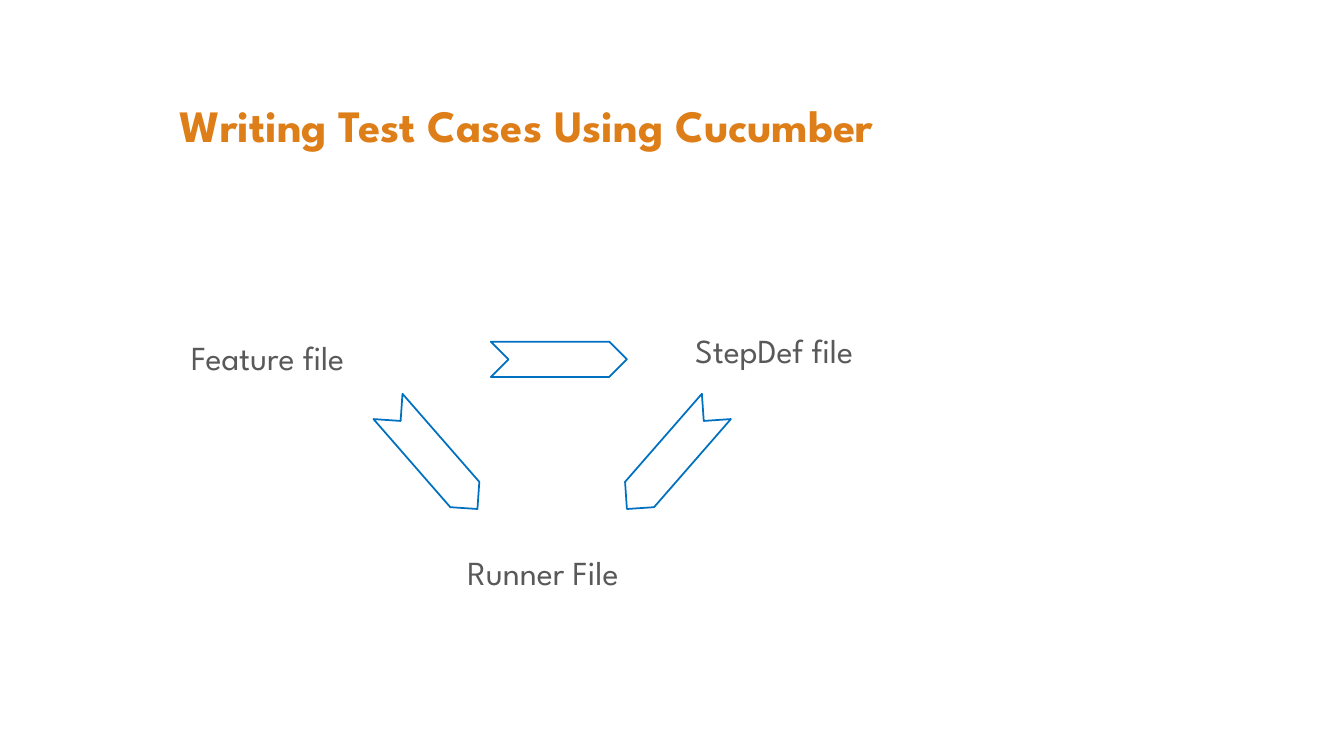
from pptx import Presentation
from pptx import util as u
from pptx.dml import color
from pptx.enum import shapes, text

FONT = "League Spartan"
ORANGE, GREY, BLUE, WHITE = "DE7E18", "595959", "0070C0", "FFFFFF"


def paint(target, code):
    target.rgb = color.RGBColor.from_string(code)


def box(area):
    return [u.Cm(side) for side in area]


def label(slide, words, area, size=24, tint=GREY, bold=False,
          anchor=text.MSO_ANCHOR.TOP, fit=text.MSO_AUTO_SIZE.SHAPE_TO_FIT_TEXT):
    frame = slide.shapes.add_textbox(*box(area)).text_frame
    frame.word_wrap = True
    frame.auto_size = fit
    frame.vertical_anchor = anchor
    run = frame.paragraphs[0].add_run()
    run.text = words
    run.font.name = FONT
    run.font.size = u.Pt(size)
    run.font.bold = bold
    paint(run.font.color, tint)


def arrow(slide, area, turn=0):
    shape = slide.shapes.add_shape(shapes.MSO_SHAPE.CHEVRON, *box(area))
    shape.shadow.inherit = False
    shape.rotation = turn
    shape.fill.solid()
    paint(shape.fill.fore_color, WHITE)
    paint(shape.line.color, BLUE)
    shape.line.width = u.Pt(1.25)


def main():
    deck = Presentation()
    deck.slide_width, deck.slide_height = u.Cm(33.87), u.Cm(19.05)
    slide = deck.slides.add_slide(deck.slide_layouts[6])

    # Title
    label(slide, "Writing Test Cases Using Cucumber", (4.27, 2.24, 19.99, 1.78),
          size=32, tint=ORANGE, bold=True, anchor=text.MSO_ANCHOR.MIDDLE,
          fit=text.MSO_AUTO_SIZE.NONE)

    # The three files
    label(slide, "Feature file", (4.57, 8.36, 5.92, 1.27))
    label(slide, "Runner File", (11.53, 13.79, 5.41, 1.27))
    label(slide, "StepDef file", (17.27, 8.2, 5.92, 1.27))

    # Arrows between the files; the lower two lean towards the runner
    tilt = 48.9
    arrow(slide, (12.37, 8.61, 3.43, 0.89))
    for left, turn in ((9.19, tilt), (15.21, 180 - tilt)):
        arrow(slide, (left, 11.05, 3.43, 0.97), turn)

    deck.save("out.pptx")


if __name__ == "__main__":
    main()
